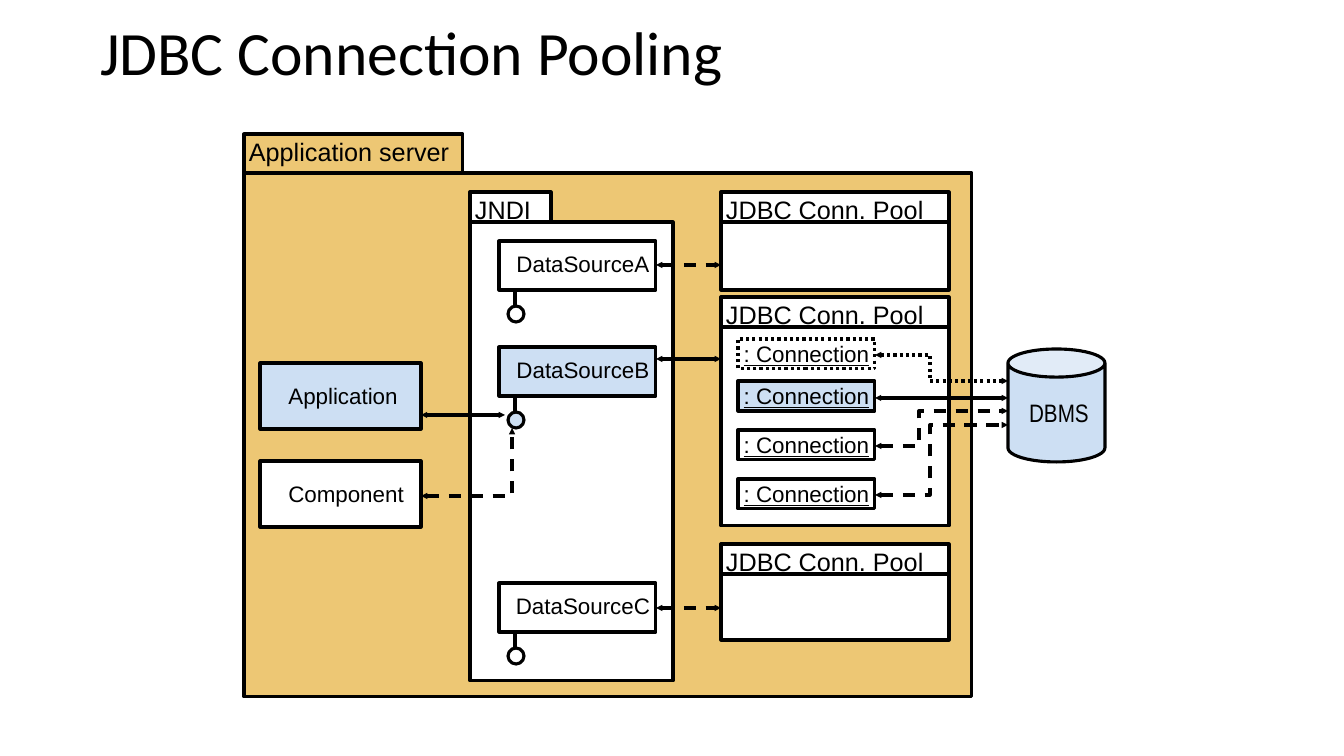
from lxml.etree import SubElement
from pptx import Presentation
from pptx.dml.color import RGBColor
from pptx.enum.dml import MSO_LINE
from pptx.enum.shapes import MSO_CONNECTOR, MSO_SHAPE
from pptx.enum.text import MSO_ANCHOR, PP_ALIGN
from pptx.oxml.ns import qn
from pptx.util import Emu, Pt

PX = 914400 / 100.8
LINE = Pt(2.25)
COLORS = {"black": "000000", "white": "FFFFFF", "sand": "EDC774", "blue": "CDDFF3"}
RGB = {name: RGBColor.from_string(value) for name, value in COLORS.items()}
DASH, DOT = MSO_LINE.DASH, MSO_LINE.ROUND_DOT

prs = Presentation()
prs.slide_width, prs.slide_height = Emu(round(1344 * PX)), Emu(round(756 * PX))
s = prs.slides.add_slide(prs.slide_layouts[6])


def box(x, y, w, h, text="", shape=MSO_SHAPE.RECTANGLE, fill="white", dash=None,
        font="Arial", size=16, underline=False, align=PP_ALIGN.CENTER,
        anchor=MSO_ANCHOR.MIDDLE, insets=(5, 5, 0, 5), spacing=None):
    """Add an outlined shape, or a plain text box when shape is None."""
    frame = [Emu(round(v * PX)) for v in (x, y, w, h)]
    if shape is None:
        sp = s.shapes.add_textbox(*frame)
    else:
        sp = s.shapes.add_shape(shape, *frame)
        sp.shadow.inherit = False
        if fill:
            sp.fill.solid()
            sp.fill.fore_color.rgb = RGB[fill]
        else:
            sp.fill.background()
        sp.line.color.rgb = RGB["black"]
        sp.line.width = LINE
        if dash:
            sp.line.dash_style = dash
    if text:
        tf = sp.text_frame
        tf.word_wrap = True
        tf.vertical_anchor = anchor
        tf.margin_left, tf.margin_top, tf.margin_right, tf.margin_bottom = [
            Emu(round(v * PX)) for v in insets]
        p = tf.paragraphs[0]
        p.alignment = align
        if spacing:
            p.line_spacing = spacing
        r = p.add_run()
        r.text = text
        r.font.name, r.font.size = font, Pt(size)
        r.font.underline = underline
        r.font.color.rgb = RGB["black"]
    return sp


def link(*points, dash=None, arrows=True):
    """Join two points with a connector, or more with an open bent line."""
    if len(points) == 2:
        ends = [Emu(round(v * PX)) for point in points for v in point]
        sp = s.shapes.add_connector(MSO_CONNECTOR.STRAIGHT, *ends)
    else:
        builder = s.shapes.build_freeform(*points[0], scale=PX)
        builder.add_line_segments(points[1:], close=False)
        sp = builder.convert_to_shape()
        sp.fill.background()
    sp.line.color.rgb = RGB["black"]
    sp.line.width = LINE
    if dash:
        sp.line.dash_style = dash
    spPr = sp._element.spPr
    if arrows:
        for end in ("a:headEnd", "a:tailEnd"):
            SubElement(spPr.find(qn("a:ln")), qn(end), type="triangle", w="sm", len="sm")
    SubElement(spPr, qn("a:effectLst"))


box(90, 17, 1176, 101, "JDBC Connection Pooling", shape=None, font="Calibri", size=44,
    align=PP_ALIGN.LEFT, anchor=MSO_ANCHOR.TOP, insets=(10, 5, 10, 5), spacing=0.9)

# Packages: a name tab on top of a body
TAB = dict(size=18, align=PP_ALIGN.LEFT, anchor=MSO_ANCHOR.TOP, insets=(5, 2, 0, 0))
for name, x, y, tab_w, tab_h, w, h, fill in [
    ("Application server", 244, 134, 219, 39, 728, 524, "sand"),
    ("JNDI", 470, 192, 81, 30, 203, 459, "white"),
    ("JDBC Conn. Pool", 721, 192, 228, 30, 228, 68, "white"),
    ("JDBC Conn. Pool", 721, 297, 228, 30, 228, 199, "white"),
    ("JDBC Conn. Pool", 721, 544, 228, 30, 228, 66, "white"),
]:
    box(x, y + tab_h, w, h, fill=fill)
    box(x, y, tab_w, tab_h, name, fill=fill, **TAB)

dbms = box(1008, 349, 97, 113, "DBMS", shape=MSO_SHAPE.CAN, fill="blue",
           font="Arial Narrow", size=18)
dbms.adjustments[0] = 0.29

# Pooled connections and their routes to the database
for y, fill, dash, route_dash, bend_x, dbms_y in [
    (339, "white", DOT, DOT, 930, 381),
    (381, "blue", None, None, None, 398),
    (430, "white", None, DASH, 919, 411),
    (479, "white", None, DASH, 930, 425),
]:
    box(738, y, 137, 30, ": Connection", fill=fill, dash=dash, underline=True,
        insets=(0, 5, 0, 5))
    start_y = y + 16
    if bend_x:
        link((875, start_y), (bend_x, start_y), (bend_x, dbms_y), (1008, dbms_y),
             dash=route_dash)
    else:
        link((875, dbms_y), (1008, dbms_y))

# Data sources with their interface symbol and pool link
for name, y, pool_y, fill, dash in [
    ("DataSourceA", 241, 265, None, DASH),
    ("DataSourceB", 347, 359, "blue", None),
    ("DataSourceC", 583, 608, None, DASH),
]:
    box(499, y, 157, 49, name, fill=fill, insets=(11, 5, 0, 9))
    link((515, y + 49), (515, y + 65), arrows=False)
    box(508, y + 65, 16, 16, shape=MSO_SHAPE.OVAL, fill=fill)
    link((656, pool_y), (721, pool_y), dash=dash)

# Clients of the data source
box(260, 363, 161, 66, "Application", fill="blue")
box(260, 461, 161, 66, "Component", insets=(11, 5, 0, 5))
link((421, 415), (505, 415))
link((421, 496), (512, 496), (512, 428), dash=DASH)

prs.save("out.pptx")
